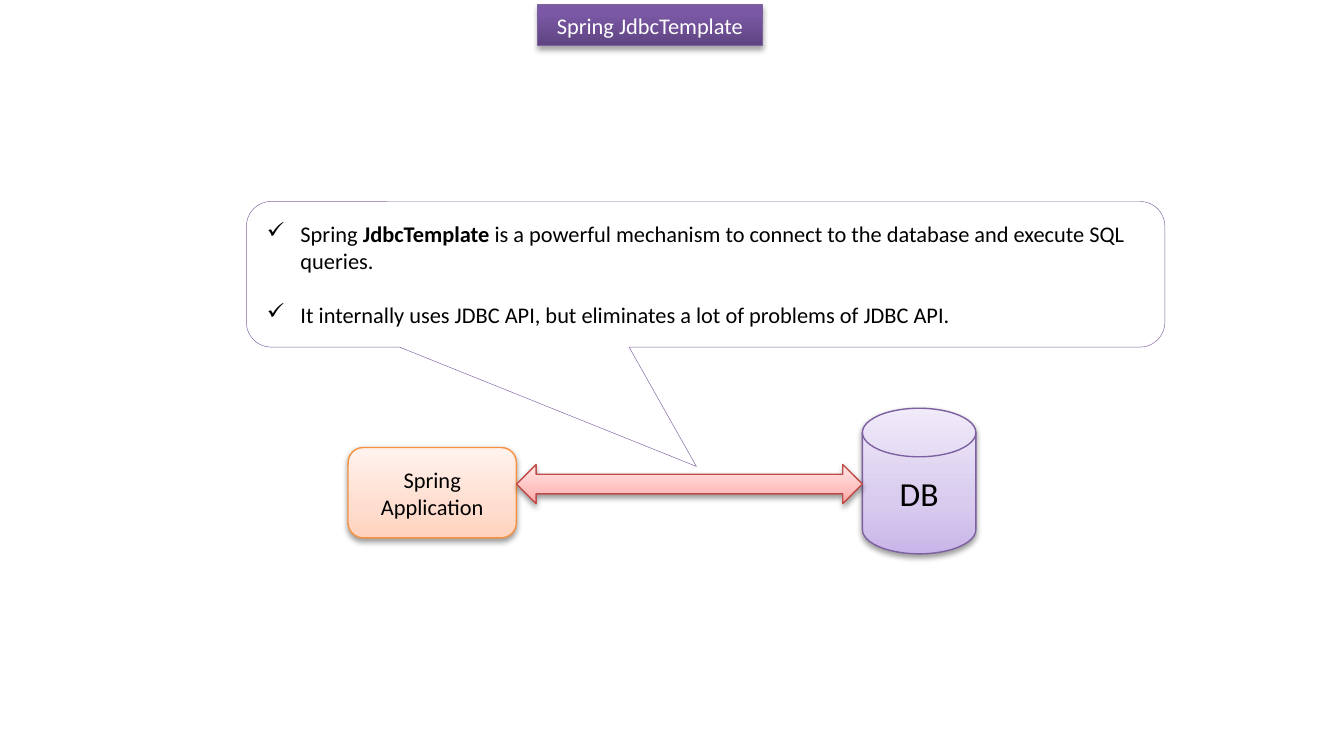
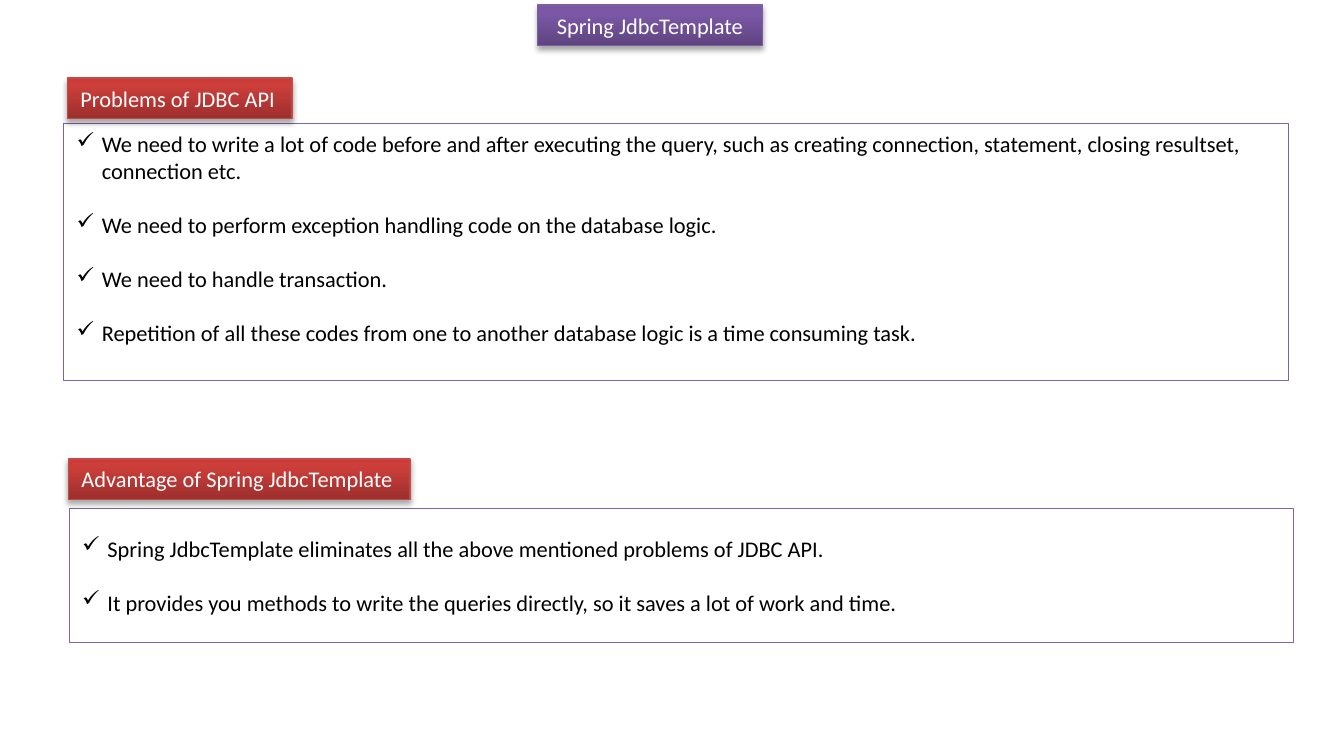
import pptx
import pptx.dml.color
import pptx.enum.shapes
import pptx.enum.text
import pptx.oxml
import pptx.oxml.ns
import pptx.util

Pt = pptx.util.Pt
SHAPE = pptx.enum.shapes.MSO_SHAPE
ALIGN = pptx.enum.text.PP_ALIGN
ANCHOR = pptx.enum.text.MSO_ANCHOR
AUTO = pptx.enum.text.MSO_AUTO_SIZE
qn = pptx.oxml.ns.qn

TITLE = "Spring JdbcTemplate"
CALLOUT = [
    [("Spring ", False), ("JdbcTemplate", True),
     (" is a powerful mechanism to connect to the database and execute SQL queries.", False)],
    "It internally uses JDBC API, but eliminates a lot of problems of JDBC API.",
]
PANELS = [
    {
        "heading": "Problems of JDBC API",
        "heading_box": (36, 41.9, 120.4, 21.8),
        "box": (34, 66.2, 656, 137.8),
        "bottom": 18.2,
        "points": [
            "We need to write a lot of code before and after executing the query, such as "
            "creating connection, statement, closing resultset, connection etc.",
            "We need to perform exception handling code on the database logic.",
            "We need to handle transaction.",
            "Repetition of all these codes from one to another database logic is a time consuming task.",
        ],
    },
    {
        "heading": "Advantage of Spring JdbcTemplate",
        "heading_box": (36.6, 245.9, 183, 21.8),
        "box": (37, 272.2, 656, 72),
        "bottom": 3.6,
        "points": [
            "Spring JdbcTemplate eliminates all the above mentioned problems of JDBC API.",
            "It provides you methods to write the queries directly, so it saves a lot of work and time.",
        ],
    },
]

COLORS = {"white": "FFFFFF", "black": "000000", "panel_line": "8064A2",
          "purple": "7D60A0", "orange": "F69240", "red": "BF4C48"}
GRADIENTS = {
    "title": [(0, "5F4480"), (80, "7B58A6"), (100, "7C57A8")],
    "heading": [(0, "9C2F2D"), (80, "CB3E3A"), (100, "CE3B37")],
    "database": [(0, "C9B5E8"), (35, "D8CBEE"), (100, "F0EAF9")],
    "application": [(0, "FFD2BD"), (35, "FFDED0"), (100, "FFF2ED")],
    "arrow": [(0, "FFA6A5"), (35, "FFC0BF"), (100, "FFE7E7")],
}
DARK_SHADOW = {"alpha": 35, "dist": 1.8}
LIGHT_SHADOW = {"alpha": 38, "dist": 1.6}
FONT = "Calibri"
BODY_SIZE = 12
POINT_GAP = 14.6

TITLE_BOX = (288, 2.7, 120.4, 21.8)
APP_BOX = (186.5, 239.8, 90.2, 48.4)
DB_BOX = (462, 218.8, 60.8, 78)
CALLOUT_BOX = (132, 108, 492, 78)
ARROW_HEIGHT = 21
ARROW_MIDDLE = 259.4


def rgb(name):
    return pptx.dml.color.RGBColor.from_string(COLORS[name])


def add_element(parent, tag, **attributes):
    child = pptx.oxml.parse_xml(f"<{tag} {pptx.oxml.ns.nsdecls('a')}/>")
    for key, value in attributes.items():
        child.set(key, str(value))
    parent.append(child)
    return child


def add_color(parent, value):
    return add_element(parent, "a:srgbClr", val=value)


def add_box(s, kind, box, line, width=0.75, gradient=None, shadow=None):
    sp = s.shapes.add_shape(kind, *map(Pt, box))
    sp.line.color.rgb = rgb(line)
    sp.line.width = Pt(width)
    if gradient:
        sp.fill.gradient()
        sp.fill.gradient_angle = 90
        stops = next(sp._element.spPr.iter(qn("a:gsLst")))
        for stop in list(stops):
            stops.remove(stop)
        for position, color in GRADIENTS[gradient]:
            add_color(add_element(stops, "a:gs", pos=position * 1000), color)
    else:
        sp.fill.solid()
        sp.fill.fore_color.rgb = rgb("white")
    sp.shadow.inherit = False
    if shadow:
        effects = sp._element.spPr.find(qn("a:effectLst"))
        outer = add_element(effects, "a:outerShdw", blurRad=Pt(3.1), dist=Pt(shadow["dist"]),
                            dir=5400000, rotWithShape=0)
        add_element(add_color(outer, COLORS["black"]), "a:alpha", val=shadow["alpha"] * 1000)
    return sp


def add_text(sp, paragraphs, color="black", size=BODY_SIZE, align=ALIGN.LEFT, indent=0, **frame):
    tf = sp.text_frame
    settings = {"word_wrap": True, "vertical_anchor": ANCHOR.MIDDLE, **frame}
    for key, value in settings.items():
        setattr(tf, key, value)
    for i, content in enumerate(paragraphs):
        p = tf.add_paragraph() if i else tf.paragraphs[0]
        p.alignment = align
        if i:
            p.space_before = Pt(POINT_GAP)
        if indent:
            pPr = p._p.get_or_add_pPr()
            pPr.set("marL", str(Pt(indent)))
            pPr.set("indent", str(-Pt(indent)))
            add_element(pPr, "a:buChar", char="✓")
        runs = [(content, False)] if isinstance(content, str) else content
        for text, bold in runs:
            r = p.add_run()
            r.text = text
            for key, value in {"name": FONT, "size": Pt(size), "bold": bold}.items():
                setattr(r.font, key, value)
            r.font.color.rgb = rgb(color)


def add_label(s, text, box, gradient, line, **style):
    sp = add_box(s, SHAPE.RECTANGLE, box, line, gradient=gradient, shadow=DARK_SHADOW)
    add_text(sp, [text], "white", vertical_anchor=ANCHOR.TOP,
             auto_size=AUTO.SHAPE_TO_FIT_TEXT, **style)


def add_slide(prs):
    s = prs.slides.add_slide(prs.slide_layouts[6])
    add_label(s, TITLE, TITLE_BOX, "title", "purple", align=ALIGN.CENTER)
    return s


def build_overview(prs):
    s = add_slide(prs)
    db = add_box(s, SHAPE.FLOWCHART_MAGNETIC_DISK, DB_BOX, "purple",
                 gradient="database", shadow=LIGHT_SHADOW)
    add_text(db, ["DB"], size=18, align=ALIGN.CENTER)
    app = add_box(s, SHAPE.FLOWCHART_ALTERNATE_PROCESS, APP_BOX, "orange",
                  gradient="application", shadow=LIGHT_SHADOW)
    add_text(app, ["Spring Application"], align=ALIGN.CENTER)
    start = APP_BOX[0] + APP_BOX[2]
    arrow_box = (start, ARROW_MIDDLE - ARROW_HEIGHT / 2, DB_BOX[0] - start, ARROW_HEIGHT)
    add_box(s, SHAPE.LEFT_RIGHT_ARROW, arrow_box, "red", gradient="arrow", shadow=LIGHT_SHADOW)
    callout = add_box(s, SHAPE.ROUNDED_RECTANGULAR_CALLOUT, CALLOUT_BOX, "panel_line", 0.25)
    for i, value in enumerate((-0.01, 1.32, 0.17)):
        callout.adjustments[i] = value
    add_text(callout, CALLOUT, indent=18)


def build_comparison(prs):
    s = add_slide(prs)
    for panel in PANELS:
        sp = add_box(s, SHAPE.FLOWCHART_PROCESS, panel["box"], "panel_line", 0.25)
        add_text(sp, panel["points"], indent=13.5, margin_bottom=Pt(panel["bottom"]))
    for panel in PANELS:
        add_label(s, panel["heading"], panel["heading_box"], "heading", "red", word_wrap=False)


def main():
    prs = pptx.Presentation()
    prs.slide_width, prs.slide_height = Pt(720), Pt(396)
    build_overview(prs)
    build_comparison(prs)
    prs.save("out.pptx")


if __name__ == "__main__":
    main()
